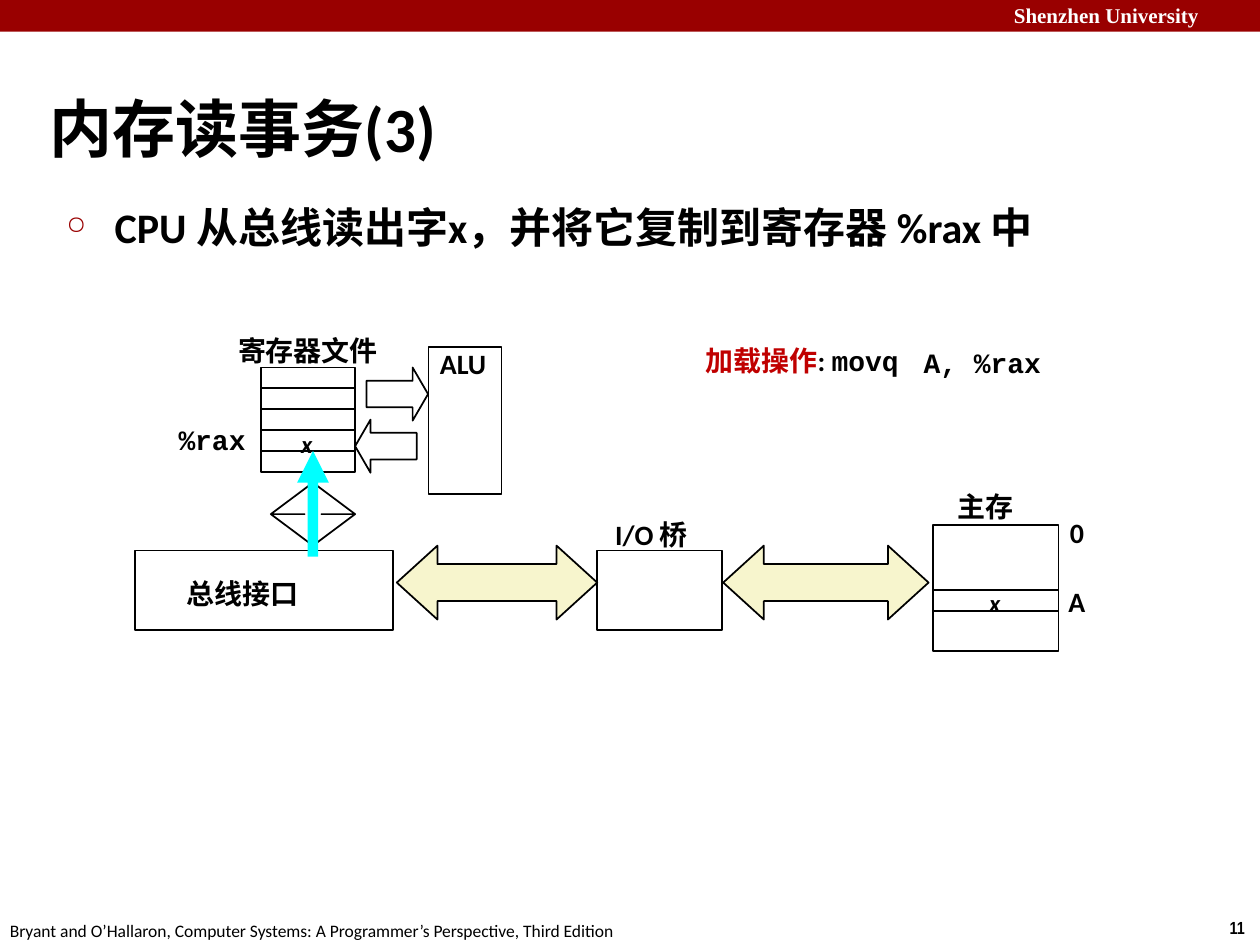
from dataclasses import dataclass

from lxml.etree import SubElement
from pptx import Presentation
from pptx.dml.color import RGBColor
from pptx.enum.shapes import MSO_SHAPE as SHAPE
from pptx.enum.text import MSO_ANCHOR as ANCHOR, PP_ALIGN as ALIGN
from pptx.oxml.ns import qn
from pptx.util import Cm, Pt


@dataclass(frozen=True)
class Theme:
    black: str = "000000"
    white: str = "FFFFFF"
    header: str = "990000"
    accent: str = "C00000"
    bus: str = "F7F5CD"
    flow: str = "00FFFF"
    body: str = "Calibri"
    code: str = "Courier New"
    serif: str = "Times New Roman"
    narrow: str = "Arial Narrow"
    title_size: int = 36
    bullet_size: int = 24
    label_size: int = 16
    value_size: int = 14
    header_size: int = 12
    footer_size: int = 10


T = Theme()


def add_run(p, text, size=T.label_size, font=T.body, color=T.black, bold=True, italic=False):
    r = p.add_run()
    r.text = text
    r.font.size = Pt(size)
    r.font.name = font
    r.font.bold = bold
    r.font.italic = italic
    r.font.color.rgb = RGBColor.from_string(color)


def set_insets(tf, left=0, top=0, right=0, bottom=0):
    tf.margin_left, tf.margin_top = Cm(left), Cm(top)
    tf.margin_right, tf.margin_bottom = Cm(right), Cm(bottom)


def add_text(s, x, y, w, h, text=None, wrap=False, **style):
    """Add a text box without insets; the text is optional so runs can follow."""
    tf = s.shapes.add_textbox(Cm(x), Cm(y), Cm(w), Cm(h)).text_frame
    tf.word_wrap = wrap
    set_insets(tf)
    p = tf.paragraphs[0]
    p.alignment = ALIGN.LEFT
    if text:
        add_run(p, text, **style)
    return tf


def add_block(s, kind, x, y, w, h, fill=None, outline=True, adjust=()):
    sp = s.shapes.add_shape(kind, Cm(x), Cm(y), Cm(w), Cm(h))
    sp.shadow.inherit = False
    if fill:
        sp.fill.solid()
        sp.fill.fore_color.rgb = RGBColor.from_string(fill)
    else:
        sp.fill.background()
    if outline:
        sp.line.color.rgb = RGBColor.from_string(T.black)
        sp.line.width = Pt(1)
    else:
        sp.line.fill.background()
    for i, value in enumerate(adjust):
        sp.adjustments[i] = value
    return sp


def set_bullet(p, char, color, percent):
    pPr = p._p.get_or_add_pPr()
    pPr.set("marL", str(Cm(0.99)))
    pPr.set("indent", str(-Cm(0.97)))
    clr = SubElement(pPr, qn("a:buClr"))
    SubElement(clr, qn("a:srgbClr"), val=color)
    SubElement(pPr, qn("a:buSzPct"), val=str(percent * 1000))
    SubElement(pPr, qn("a:buChar"), char=char)


def add_frame(s):
    add_block(s, SHAPE.RECTANGLE, 0, 0, 25.4, 0.64, T.header, outline=False)
    add_text(s, 20.44, 0.05, 4.8, 0.5, "Shenzhen University",
             size=T.header_size, font=T.serif, color=T.white)
    add_text(s, 24.79, 18.49, 0.4, 0.43, "11", size=T.footer_size, font=T.narrow)
    add_text(s, 0.2, 18.54, 12.5, 0.43,
             "Bryant and O’Hallaron, Computer Systems: A Programmer’s Perspective, Third Edition",
             size=T.footer_size, bold=False)


def add_heading(s):
    tf = add_text(s, 1, 1.19, 21.08, 2.16, "内存读事务(3)", wrap=True, size=T.title_size)
    tf.margin_top = Cm(0.61)
    tf.vertical_anchor = ANCHOR.MIDDLE
    p = add_text(s, 1.32, 4.06, 20.7, 1.02, wrap=True).paragraphs[0]
    set_bullet(p, "○", T.header, 60)
    add_run(p, "CPU 从总线读出字x，并将它复制到寄存器 %rax 中", size=T.bullet_size)


def add_cpu(s):
    reg_x, reg_y, reg_w, reg_h = 5.26, 7.41, 1.9, 0.42
    for i in range(5):
        add_block(s, SHAPE.RECTANGLE, reg_x, reg_y + i * reg_h, reg_w, reg_h)
    add_text(s, 4.8, 6.73, 3.1, 0.69, "寄存器文件")
    add_text(s, 3.6, 8.51, 1.42, 0.64, "%rax", font=T.code)
    add_text(s, 6.07, 8.64, 0.3, 0.56, "x", size=T.value_size, italic=True)

    add_block(s, SHAPE.RIGHT_ARROW, 7.39, 7.41, 1.24, 1.07, adjust=(0.5, 0.29))
    add_block(s, SHAPE.LEFT_ARROW, 7.16, 8.46, 1.24, 1.07, adjust=(0.5, 0.29))
    alu = add_block(s, SHAPE.RECTANGLE, 8.64, 6.99, 1.47, 2.97)
    tf = alu.text_frame
    set_insets(tf, left=0.23)
    tf.vertical_anchor = ANCHOR.TOP
    tf.paragraphs[0].alignment = ALIGN.LEFT
    add_run(tf.paragraphs[0], "ALU")

    add_block(s, SHAPE.UP_DOWN_ARROW, 5.46, 9.73, 1.7, 1.27, adjust=(0.5, 0.2))
    add_block(s, SHAPE.RECTANGLE, 2.72, 11.1, 5.21, 1.6)
    add_text(s, 3.76, 11.63, 3.12, 0.69, "总线接口")
    add_block(s, SHAPE.UP_ARROW, 5.99, 9.09, 0.64, 2.13, T.flow, outline=False,
              adjust=(0.33, 1))


def add_bus(s):
    for x, w in ((8, 4.04), (14.58, 4.14)):
        add_block(s, SHAPE.LEFT_RIGHT_ARROW, x, 11, w, 1.49, T.bus, adjust=(0.5, 0.55))
    add_block(s, SHAPE.RECTANGLE, 12.04, 11.1, 2.51, 1.6)
    add_text(s, 12.4, 10.44, 1.83, 0.69, "I/O 桥")


def add_memory(s):
    add_block(s, SHAPE.RECTANGLE, 18.81, 10.59, 2.53, 2.54)
    add_block(s, SHAPE.RECTANGLE, 18.81, 11.89, 2.53, 0.43)
    add_text(s, 19.31, 9.86, 1.55, 0.69, "主存")
    add_text(s, 19.94, 11.86, 0.3, 0.56, "x", size=T.value_size, italic=True)
    add_text(s, 21.57, 10.39, 0.36, 0.64, "0")
    add_text(s, 21.54, 11.79, 0.41, 0.64, "A")


def add_instruction(s):
    p = add_text(s, 14.23, 6.93, 5.26, 0.69).paragraphs[0]
    add_run(p, "加载操作", color=T.accent)
    add_run(p, ": ")
    add_run(p, "movq", font=T.code)
    add_text(s, 18.62, 6.96, 2.44, 0.64, "A, %rax", font=T.code)


def main():
    prs = Presentation()
    prs.slide_width, prs.slide_height = Cm(25.4), Cm(19.05)
    s = prs.slides.add_slide(prs.slide_layouts[6])
    add_frame(s)
    add_heading(s)
    add_bus(s)
    add_cpu(s)
    add_memory(s)
    add_instruction(s)
    prs.save("out.pptx")


if __name__ == "__main__":
    main()
